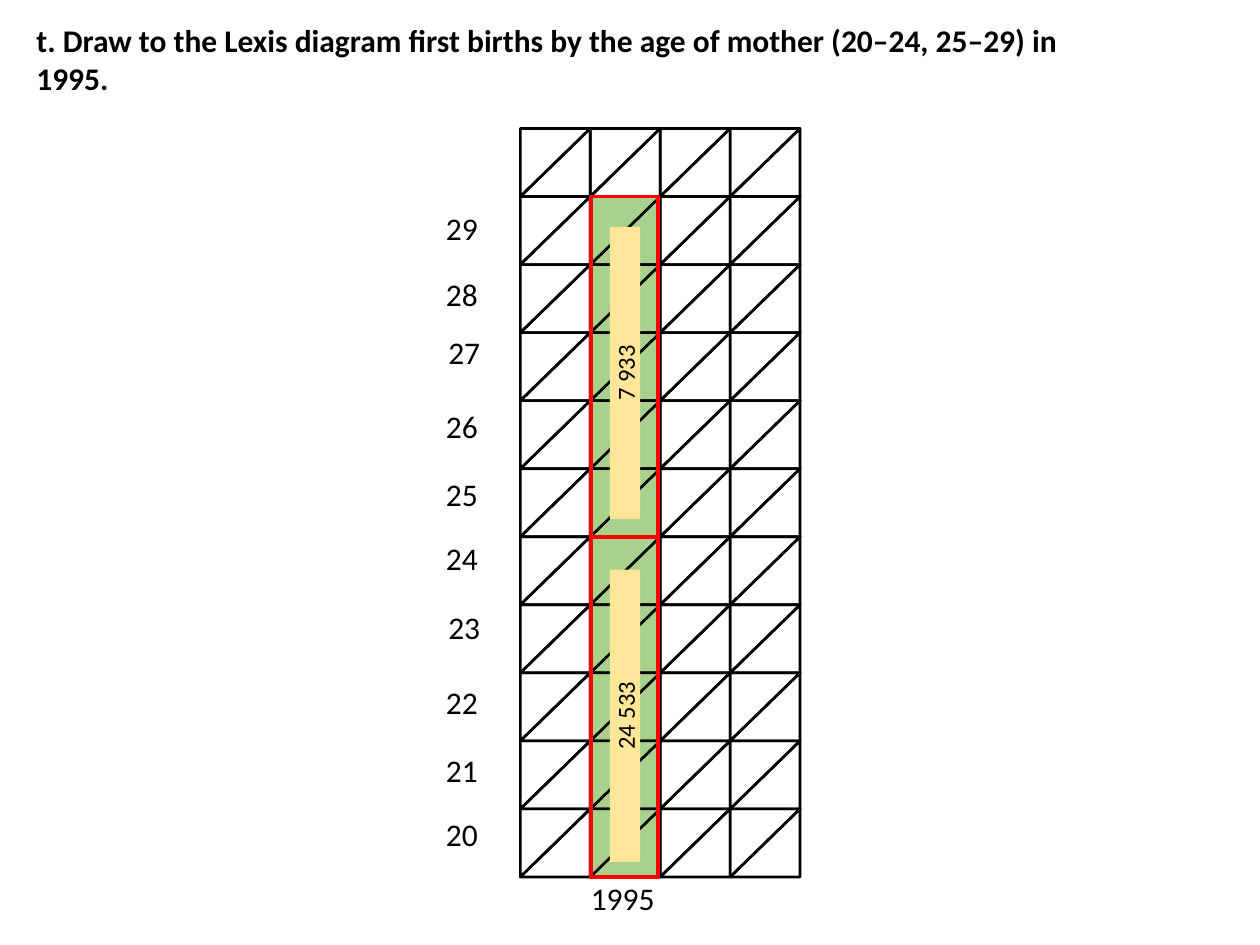
from pptx import Presentation
from pptx import util as u
from pptx.dml.color import RGBColor
from pptx.enum import shapes, text

BLACK = RGBColor(0x00, 0x00, 0x00)
GREEN = RGBColor(0xA9, 0xD1, 0x8E)
YELLOW = RGBColor(0xFF, 0xE6, 0x99)
RED = RGBColor(0xFF, 0x00, 0x00)

COLUMNS, ROWS = 4, 11
GRID_LEFT, GRID_TOP = 4.13, 1.02
CELL_W, CELL_H = 2.22 / COLUMNS, 0.54
YEAR_COLUMN = 1
GROUP_YEARS = 5

# Left and top of each age label
AGE_LABELS = {
    20: (3.44, 6.42), 21: (3.44, 5.91), 22: (3.44, 5.37), 23: (3.46, 4.78),
    24: (3.44, 4.23), 25: (3.44, 3.72), 26: (3.44, 3.18), 27: (3.46, 2.59),
    28: (3.44, 2.13), 29: (3.44, 1.61),
}
# First grid row of each age group, births, and top of the count's box
AGE_GROUPS = [(6, "24 533", 5.56), (1, "7 933", 2.84)]


class LexisSlide:
    font = "Calibri"

    def __init__(self, slide):
        self.slide = slide

    def set_text(self, tf, words, size, bold=False):
        p = tf.paragraphs[0]
        p.text = words
        p.font.name = self.font
        p.font.size = u.Pt(size)
        p.font.bold = bold
        p.font.color.rgb = BLACK
        return p

    def label(self, words, left, top, width, height=0.4, wrap=False, bold=False):
        box = self.slide.shapes.add_textbox(*map(u.Inches, (left, top, width, height)))
        tf = box.text_frame
        tf.word_wrap = wrap
        tf.auto_size = text.MSO_AUTO_SIZE.SHAPE_TO_FIT_TEXT
        self.set_text(tf, words, 18, bold)

    def shape(self, kind, left, top, width, height, fill=None, line=None, weight=1.5):
        s = self.slide.shapes.add_shape(kind, *map(u.Inches, (left, top, width, height)))
        s.shadow.inherit = False
        if fill is None:
            s.fill.background()
        else:
            s.fill.solid()
            s.fill.fore_color.rgb = fill
        if line is None:
            s.line.fill.background()
        else:
            s.line.color.rgb = line
            s.line.width = u.Pt(weight)
        return s

    def cell(self, left, top, fill):
        """Draw a grid cell as its lower right and upper left triangles."""
        triangle = shapes.MSO_SHAPE.RIGHT_TRIANGLE
        shift = (CELL_W - CELL_H) / 2
        lower = self.shape(triangle, left + shift, top - shift, CELL_H, CELL_W, fill, BLACK)
        lower.rotation = 270
        upper = self.shape(triangle, left, top, CELL_W, CELL_H, fill, BLACK)
        upper.rotation = 180
        upper._element.spPr.xfrm.set("flipH", "1")

    def outline(self, left, top, width, height):
        self.shape(shapes.MSO_SHAPE.RECTANGLE, left, top, width, height,
                   line=RED, weight=2.25)

    def count(self, words, left, top, width, height):
        s = self.shape(shapes.MSO_SHAPE.RECTANGLE, left, top, width, height, YELLOW)
        s.rotation = 270
        tf = s.text_frame
        tf.margin_left = tf.margin_right = tf.margin_top = tf.margin_bottom = 0
        tf.word_wrap = True
        tf.auto_size = text.MSO_AUTO_SIZE.SHAPE_TO_FIT_TEXT
        tf.vertical_anchor = text.MSO_ANCHOR.MIDDLE
        self.set_text(tf, words, 14).alignment = text.PP_ALIGN.CENTER


def main():
    prs = Presentation()
    prs.slide_width, prs.slide_height = u.Inches(10), u.Inches(7.5)
    lexis = LexisSlide(prs.slides.add_slide(prs.slide_layouts[6]))

    lexis.label("t. Draw to the Lexis diagram first births by the age of mother "
                "(20–24, 25–29) in 1995.", 0.19, 0.12, 8.68, 0.71, wrap=True, bold=True)

    for column in range(COLUMNS):
        for row in range(ROWS):
            counted = column == YEAR_COLUMN and row > 0
            lexis.cell(GRID_LEFT + column * CELL_W, GRID_TOP + row * CELL_H,
                       GREEN if counted else None)

    for age, (left, top) in AGE_LABELS.items():
        lexis.label(str(age), left, top, 0.46)
    lexis.label("1995", 4.59, 6.93, 0.71)

    for row, births, count_top in AGE_GROUPS:
        lexis.outline(4.69, GRID_TOP + row * CELL_H, 0.53, GROUP_YEARS * CELL_H)
        lexis.count(births, 3.8, count_top, 2.32, 0.24)

    prs.save("out.pptx")


if __name__ == "__main__":
    main()
